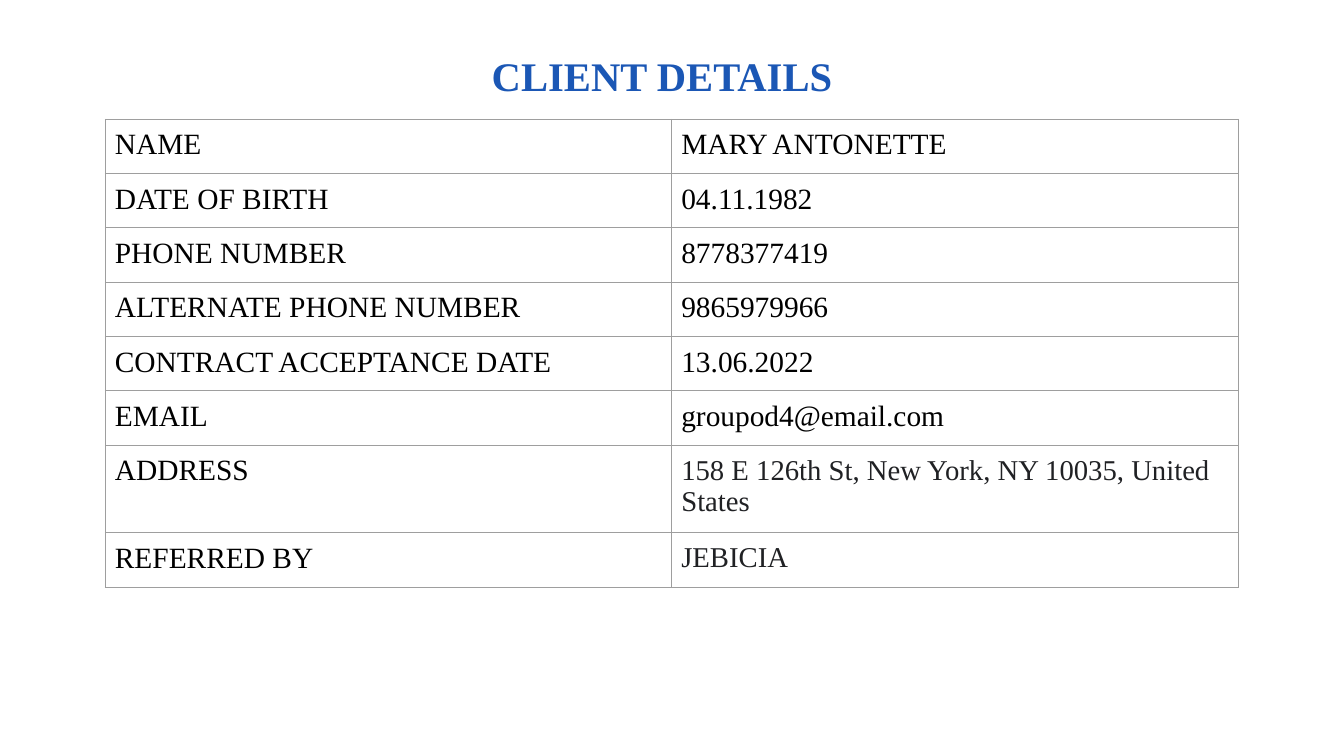
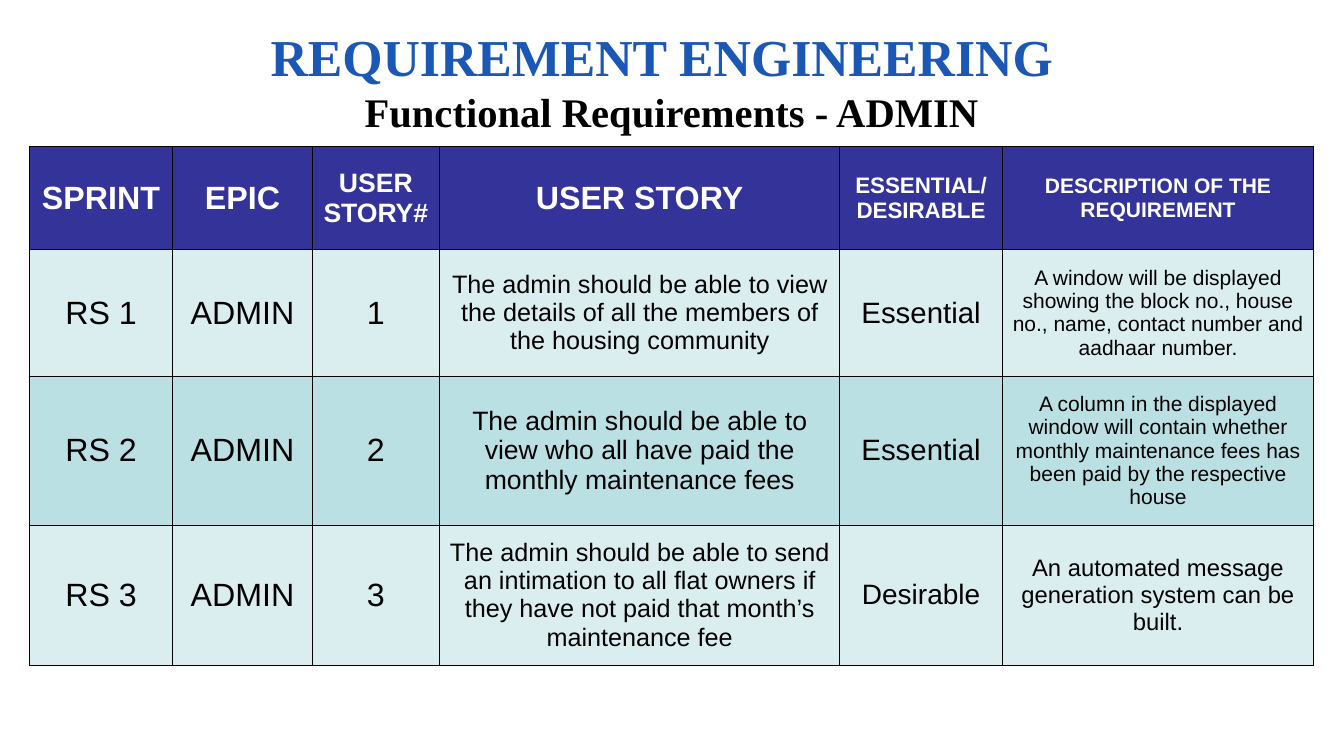
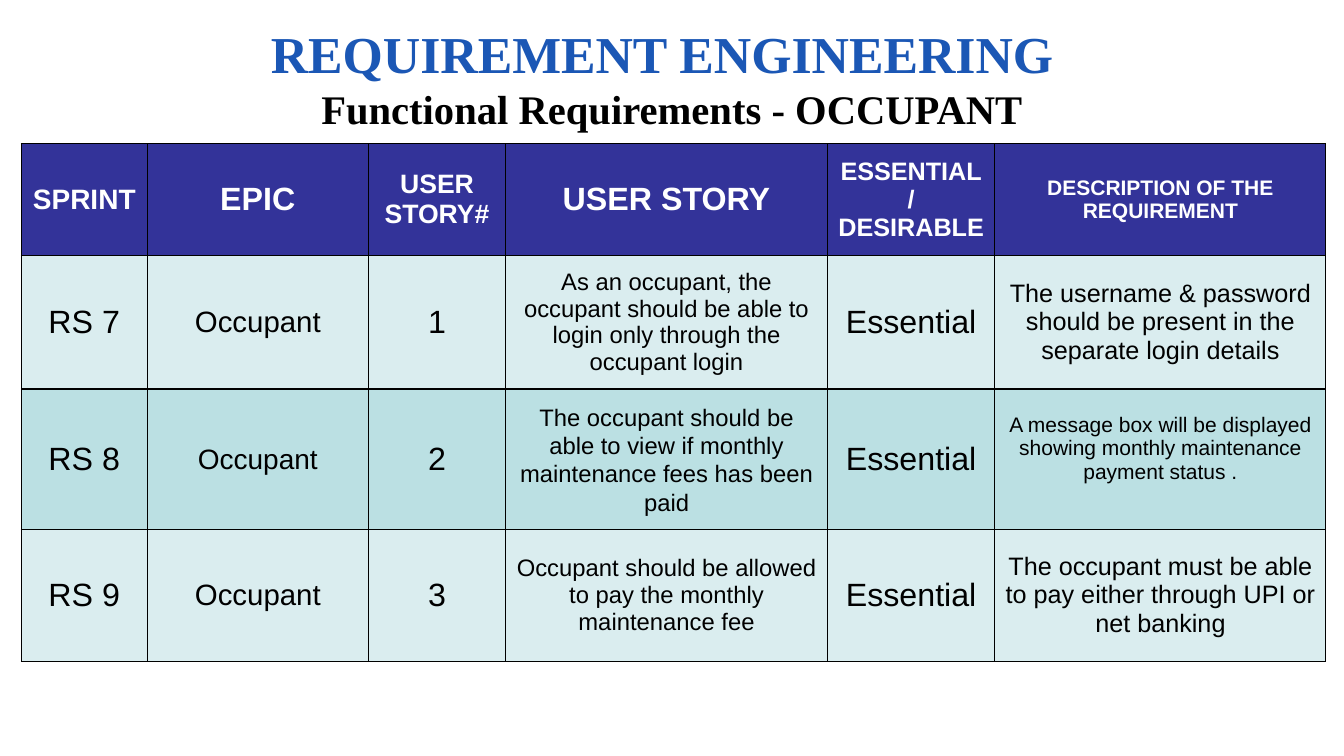
from lxml import etree
from pptx import Presentation
from pptx.dml.color import RGBColor
from pptx.enum.text import MSO_ANCHOR, PP_ALIGN
from pptx.oxml.ns import qn
from pptx.util import Pt

CENTER, LEFT = PP_ALIGN.CENTER, PP_ALIGN.LEFT
MIDDLE, TOP = MSO_ANCHOR.MIDDLE, MSO_ANCHOR.TOP

SERIF, SANS = "Times New Roman", "Arial"
BLUE, BLACK, WHITE, INK, GREY = "1B57B5", "000000", "FFFFFF", "202124", "9E9E9E"
HEADER, LIGHT, TEAL = "333399", "DAEDEF", "BBE0E3"
CELL_MARGIN = 6.8
TITLE_SHIFT = 14.5

DETAILS = [
    ("NAME", "MARY ANTONETTE"),
    ("DATE OF BIRTH", "04.11.1982"),
    ("PHONE NUMBER", "8778377419"),
    ("ALTERNATE PHONE NUMBER", "9865979966"),
    ("CONTRACT ACCEPTANCE DATE", "13.06.2022"),
    ("EMAIL", "groupod4@email.com"),
    ("ADDRESS", "158 E 126th St, New York, NY 10035, United States"),
    ("REFERRED BY", "JEBICIA"),
]
INK_ROWS = ("ADDRESS", "REFERRED BY")

HEADINGS = ["SPRINT", "EPIC", "USER STORY#", "USER STORY",
            "ESSENTIAL/\nDESIRABLE", "DESCRIPTION OF THE REQUIREMENT"]

# Each row: texts, then the font size of each column
ADMIN = [
    (HEADINGS, [23, 23, 19, 23, 16, 15]),
    (["RS 1", "ADMIN", "1",
      "The admin should be able to view the details of all the members of the housing community",
      "Essential",
      "A window will be displayed showing the block no., house no., name, contact number and aadhaar number."],
     [23, 23, 23, 18, 21, 15]),
    (["RS 2", "ADMIN", "2",
      "The admin should be able to view who all have paid the monthly maintenance fees",
      "Essential",
      "A column in the displayed window will contain whether monthly maintenance fees has been paid by the respective house"],
     [23, 23, 23, 19, 21, 15]),
    (["RS 3", "ADMIN", "3",
      "The admin should be able to send an intimation to all flat owners if they have not paid that month’s maintenance fee",
      "Desirable",
      "An automated message generation system can be built."],
     [23, 23, 23, 18, 20, 17]),
]
OCCUPANT = [
    (HEADINGS, [20, 23, 19, 23, 18, 15]),
    (["RS 7", "Occupant", "1",
      "As an occupant, the occupant should be able to login only through the occupant login",
      "Essential",
      "The username & password should be present in the separate login details"],
     [23, 21, 23, 17, 23, 18]),
    (["RS 8", "Occupant", "2",
      "The occupant should be able to view if monthly maintenance fees has been paid",
      "Essential",
      "A message box will be displayed showing monthly maintenance payment status ."],
     [23, 20, 23, 17, 23, 15]),
    (["RS 9", "Occupant", "3",
      "Occupant should be allowed to pay the monthly maintenance fee",
      "Essential",
      "The occupant must be able to pay either through UPI or net banking"],
     [23, 21, 23, 17, 23, 18]),
]
ADMIN_COLS = [102.5, 99.5, 91, 286, 116, 222.5]
OCCUPANT_COLS = [90, 158, 98, 230, 119.5, 236.5]


def rgb(color):
    return RGBColor.from_string(color)


def add_text(p, text, size, color, font, bold=False, align=CENTER):
    p.alignment = align
    r = p.add_run()
    r.text = text
    r.font.size, r.font.name, r.font.bold = Pt(size), font, bold
    r.font.color.rgb = rgb(color)


def add_title(s, left, top, width, height, title, size, subtitle=None):
    """Centred title; above a subtitle it sits a little left of centre."""
    tf = s.shapes.add_textbox(Pt(left), Pt(top), Pt(width), Pt(height)).text_frame
    tf.word_wrap = True
    tf.vertical_anchor = MIDDLE
    tf.margin_top = tf.margin_bottom = Pt(4)
    tf.margin_left = tf.margin_right = Pt(8)
    add_text(tf.paragraphs[0], title, size, BLUE, SERIF, True)
    if subtitle:
        tf.margin_right = Pt(8 + TITLE_SHIFT)
        p = tf.add_paragraph()
        p._p.get_or_add_pPr().set("marL", str(Pt(TITLE_SHIFT)))
        add_text(p, subtitle, 29, BLACK, SERIF, True)


def set_borders(cell, color):
    tcPr = cell._tc.get_or_add_tcPr()
    for side in ("lnL", "lnR", "lnT", "lnB"):
        ln = etree.SubElement(tcPr, qn("a:" + side), w=str(Pt(0.75)))
        fill = etree.SubElement(ln, qn("a:solidFill"))
        etree.SubElement(fill, qn("a:srgbClr"), val=color)


def add_table(s, left, top, cols, heights):
    table = s.shapes.add_table(len(heights), len(cols), Pt(left), Pt(top),
                               Pt(sum(cols)), Pt(sum(heights))).table
    table.first_row = table.horz_banding = False
    for column, width in zip(table.columns, cols):
        column.width = Pt(width)
    for row, height in zip(table.rows, heights):
        row.height = Pt(height)
    return table


def fill_cell(cell, text, size, color, font, border,
              fill=None, bold=False, align=CENTER, anchor=MIDDLE):
    cell.margin_left = cell.margin_right = Pt(CELL_MARGIN)
    cell.margin_top = cell.margin_bottom = Pt(CELL_MARGIN)
    cell.vertical_anchor = anchor
    set_borders(cell, border)
    if fill:
        cell.fill.solid()
        cell.fill.fore_color.rgb = rgb(fill)
    else:
        cell.fill.background()
    tf = cell.text_frame
    for i, line in enumerate(text.split("\n")):
        p = tf.add_paragraph() if i else tf.paragraphs[0]
        add_text(p, line, size, color, font, bold, align)


def add_details(s):
    table = add_table(s, 75.3, 85.2, [404.6, 404.6], [30] * len(DETAILS))
    for i, (label, value) in enumerate(DETAILS):
        size, color = (20.5, INK) if label in INK_ROWS else (21, BLACK)
        for j, (text, sz, c) in enumerate([(label, 21, BLACK), (value, size, color)]):
            fill_cell(table.cell(i, j), text, sz, c, SERIF, GREY, align=LEFT, anchor=TOP)


def add_requirements(s, left, top, cols, heights, rows, fills):
    table = add_table(s, left, top, cols, heights)
    for i, ((texts, sizes), fill) in enumerate(zip(rows, fills)):
        head = fill == HEADER
        for j, (text, size) in enumerate(zip(texts, sizes)):
            fill_cell(table.cell(i, j), text, size, WHITE if head else BLACK,
                      SANS, BLACK, fill, head)
    return table


def main():
    prs = Presentation()
    prs.slide_width, prs.slide_height = Pt(960), Pt(540)
    client, admin, occupant = [prs.slides.add_slide(prs.slide_layouts[6]) for _ in range(3)]

    add_title(client, 41, 26.6, 864, 54, "CLIENT DETAILS", 29)
    add_details(client)

    add_title(admin, 48, 30.2, 864, 54, "REQUIREMENT ENGINEERING", 37,
              "Functional Requirements - ADMIN")
    add_requirements(admin, 21, 104.8, ADMIN_COLS, [73.4, 90.7, 106.2, 100],
                     ADMIN, [HEADER, LIGHT, TEAL, LIGHT])

    add_requirements(occupant, 15.2, 102.5, OCCUPANT_COLS, [80, 94.3],
                     OCCUPANT[:2], [HEADER, LIGHT])
    paid = add_requirements(occupant, 15.2, 278.3, OCCUPANT_COLS, [94.3],
                            OCCUPANT[2:3], [TEAL])
    paid.cell(0, 3).text_frame.paragraphs[0].line_spacing = 1.06
    paid.cell(0, 5).margin_bottom = Pt(CELL_MARGIN + 16)
    add_requirements(occupant, 15.2, 378, OCCUPANT_COLS, [94.3],
                     OCCUPANT[3:], [LIGHT])
    add_title(occupant, 62, 7.9, 836.5, 94.3, "REQUIREMENT ENGINEERING", 37,
              "Functional Requirements - OCCUPANT")

    prs.save("out.pptx")


if __name__ == "__main__":
    main()
